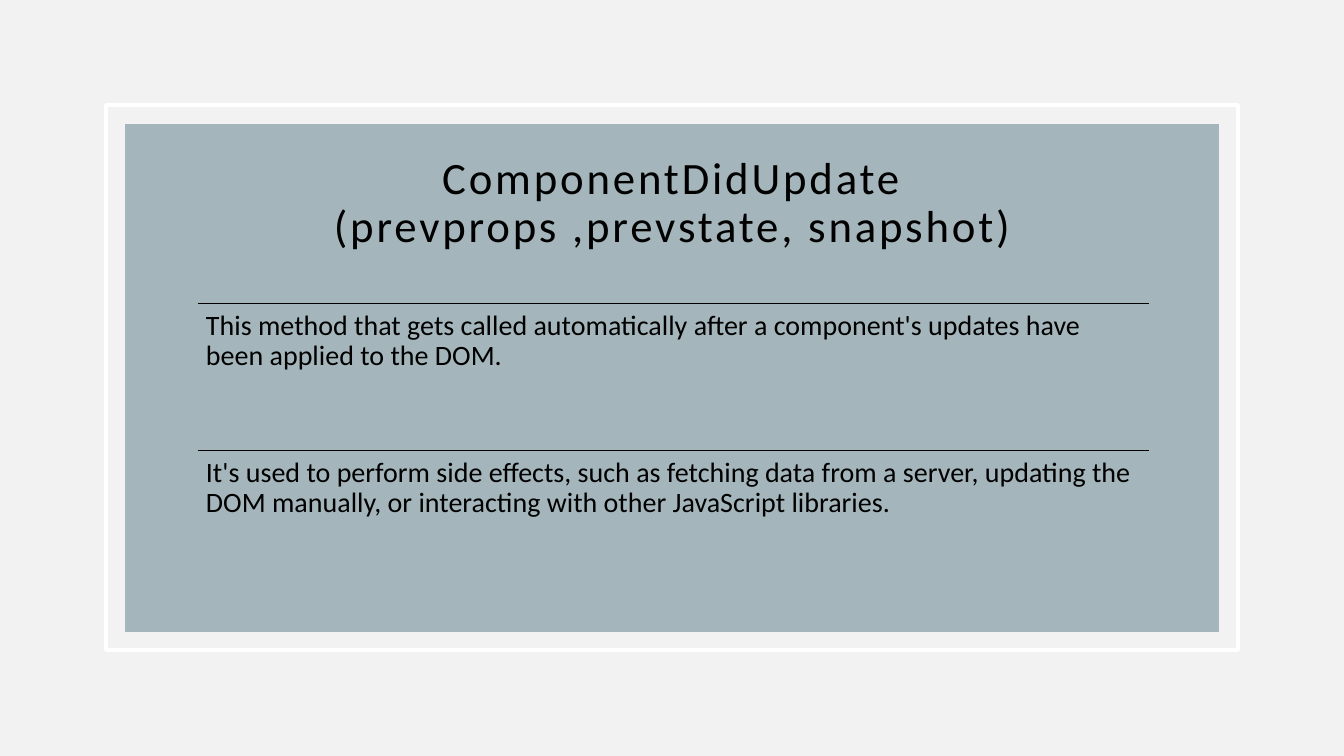
from lxml import etree
from pptx import Presentation
from pptx import util as u
from pptx.dml.color import RGBColor
from pptx.enum import shapes, text
from pptx.oxml.ns import qn

PAGE_GREY = RGBColor(0xF2, 0xF2, 0xF2)
SLATE = RGBColor(0x9B, 0xAF, 0xB5)
WHITE = RGBColor(0xFF, 0xFF, 0xFF)
BLACK = RGBColor(0x00, 0x00, 0x00)

PAGE_WIDTH, PAGE_HEIGHT = 1344, 756
ROW_LEFT, ROW_TOP, ROW_WIDTH, ROW_HEIGHT = 198, 303, 951, 147
STATEMENTS = [
    "This method that gets called automatically after a component's updates "
    "have been applied to the DOM.",
    "It's used to perform side effects, such as fetching data from a server, "
    "updating the DOM manually, or interacting with other JavaScript libraries.",
]


def px(*lengths):
    return [u.Emu(round(length * 914400 / 100.8)) for length in lengths]


class SlideBuilder:
    font_name = "Calibri"

    def __init__(self, deck):
        deck.slide_width, deck.slide_height = px(PAGE_WIDTH, PAGE_HEIGHT)
        self.page = deck.slides.add_slide(deck.slide_layouts[5])
        background = self.page.background.fill
        background.solid()
        background.fore_color.rgb = SLATE

    def rectangle(self, place, fill=None, opacity=100, line=None, line_width=0):
        shape = self.page.shapes.add_shape(shapes.MSO_SHAPE.RECTANGLE, *px(*place))
        shape.shadow.inherit = False
        if fill is None:
            shape.fill.background()
        else:
            shape.fill.solid()
            shape.fill.fore_color.rgb = fill
            if opacity < 100:
                color = shape._element.spPr.find(".//" + qn("a:srgbClr"))
                etree.SubElement(color, qn("a:alpha"), val=str(opacity * 1000))
        if line is None:
            shape.line.fill.background()
        else:
            shape.line.color.rgb = line
            shape.line.width = u.Pt(line_width)

    def rule(self, left, top, width):
        """Draw a thin horizontal line."""
        line = self.page.shapes.add_connector(
            shapes.MSO_CONNECTOR.STRAIGHT, *px(left, top, left + width, top))
        line.line.color.rgb = BLACK
        line.line.width = u.Pt(0.5)
        etree.SubElement(line._element.spPr, qn("a:effectLst"))

    def set_text(self, box, words, size, inset, align, anchor):
        frame = box.text_frame
        frame.text = words
        frame.word_wrap = True
        frame.auto_size = text.MSO_AUTO_SIZE.NONE
        frame.vertical_anchor = anchor
        (frame.margin_left, frame.margin_top,
         frame.margin_right, frame.margin_bottom) = px(*[inset] * 4)
        para = frame.paragraphs[0]
        para.alignment = align
        para.line_spacing = 0.9
        para.font.name = self.font_name
        para.font.size = u.Pt(size)
        para.font.color.rgb = BLACK
        return para

    def title(self, place, words):
        """Place the title in front of the panels, with wide letter spacing."""
        box = self.page.shapes.title
        box.left, box.top, box.width, box.height = px(*place)
        self.page.shapes._spTree.append(box._element)
        para = self.set_text(box, words, 32, 20, text.PP_ALIGN.CENTER,
                             text.MSO_ANCHOR.MIDDLE)
        for span in para.runs:
            span._r.get_or_add_rPr().set("spc", "200")

    def body(self, place, words):
        box = self.page.shapes.add_textbox(*px(*place))
        self.set_text(box, words, 20, 8, text.PP_ALIGN.LEFT, text.MSO_ANCHOR.TOP)


def main():
    deck = Presentation()
    slide = SlideBuilder(deck)
    slide.rectangle((0, 0, PAGE_WIDTH, PAGE_HEIGHT), fill=PAGE_GREY)
    slide.rectangle((125, 124, 1094, 508), fill=SLATE, opacity=89)
    slide.title((57, 153, 1231, 102),
                "ComponentDidUpdate\v(prevprops ,prevstate, snapshot)")
    slide.rectangle((106, 105, 1132, 545), line=WHITE, line_width=2.5)
    for index, statement in enumerate(STATEMENTS):
        top = ROW_TOP + index * ROW_HEIGHT
        slide.rule(ROW_LEFT, top, ROW_WIDTH)
        slide.body((ROW_LEFT, top, ROW_WIDTH, ROW_HEIGHT), statement)
    deck.save("out.pptx")


if __name__ == "__main__":
    main()
